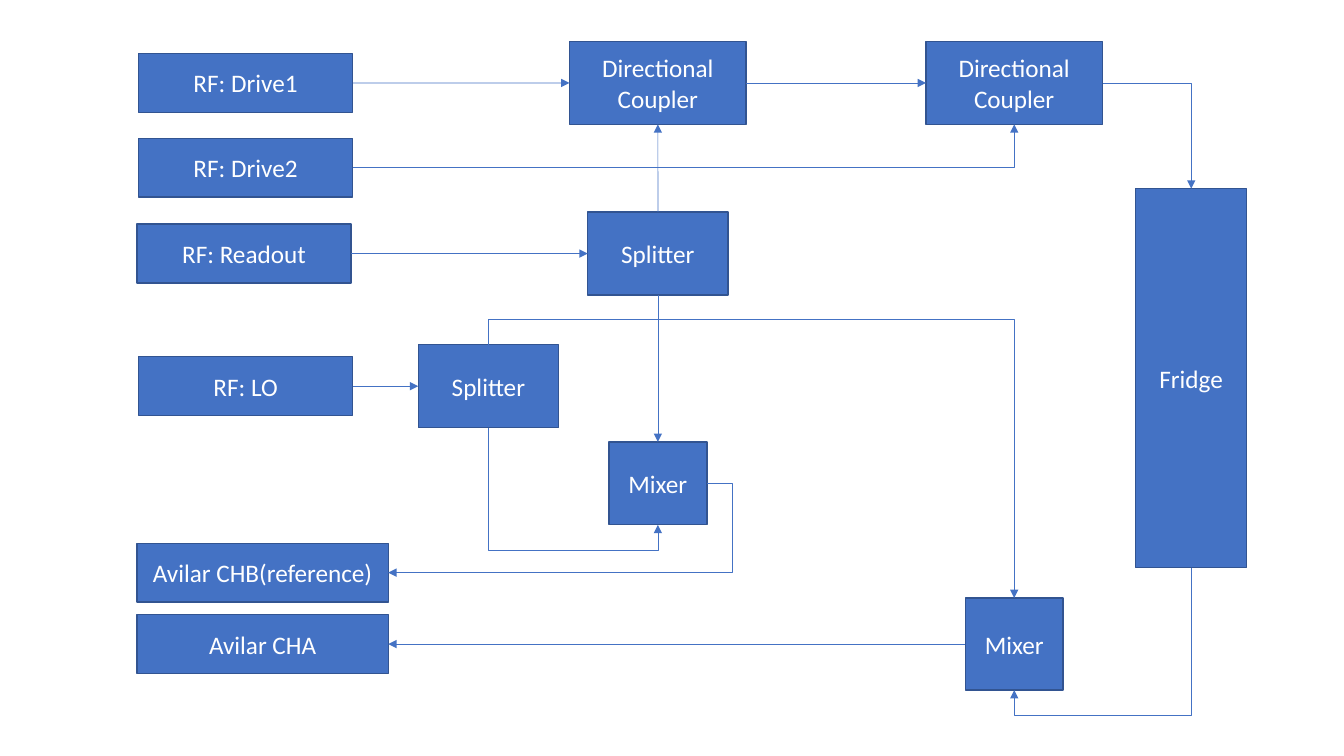
from lxml import etree
from pptx import Presentation
from pptx.dml.color import RGBColor
from pptx.enum import shapes, text
from pptx.oxml import ns
from pptx.util import Cm, Pt

BLUE = RGBColor(0x44, 0x72, 0xC4)
EDGE = RGBColor(0x32, 0x54, 0x91)
WHITE = RGBColor(0xFF, 0xFF, 0xFF)
TOP, LEFT, BOTTOM, RIGHT = range(4)

SOURCE = (5.4, 1.48)
CHANNEL = (6.33, 1.48)
COUPLER = (4.45, 2.09)
SPLITTER = (3.54, 2.09)

SOURCE_X, CHANNEL_X, LO_X = 6.19, 6.62, 12.31
REFERENCE_X, SIGNAL_X, FRIDGE_X = 16.58, 25.56, 30.02
DRIVE_Y, READOUT_Y, LO_Y, CHANNEL_Y = 2.09, 6.39, 9.73, 16.23

BLOCKS = {
    "drive1": ("RF: Drive1", SOURCE_X, DRIVE_Y, SOURCE),
    "drive2": ("RF: Drive2", SOURCE_X, 4.23, SOURCE),
    "readout": ("RF: Readout", 6.15, READOUT_Y, SOURCE),
    "lo": ("RF: LO", SOURCE_X, LO_Y, SOURCE),
    "channel_b": ("Avilar CHB(reference)", CHANNEL_X, 14.43, CHANNEL),
    "channel_a": ("Avilar CHA", CHANNEL_X, CHANNEL_Y, CHANNEL),
    "coupler1": ("Directional Coupler", REFERENCE_X, DRIVE_Y, COUPLER),
    "coupler2": ("Directional Coupler", SIGNAL_X, DRIVE_Y, COUPLER),
    "readout_splitter": ("Splitter", REFERENCE_X, READOUT_Y, SPLITTER),
    "lo_splitter": ("Splitter", LO_X, LO_Y, SPLITTER),
    "reference_mixer": ("Mixer", REFERENCE_X, 12.18, (2.47, 2.09)),
    "signal_mixer": ("Mixer", SIGNAL_X, CHANNEL_Y, (2.47, 2.32)),
    "fridge": ("Fridge", FRIDGE_X, 9.53, (2.8, 9.55)),
}

STRAIGHT_LINKS = [
    ("drive1", RIGHT, "coupler1", LEFT),
    ("coupler1", RIGHT, "coupler2", LEFT),
    ("readout", RIGHT, "readout_splitter", LEFT),
    ("readout_splitter", TOP, "coupler1", BOTTOM),
    ("readout_splitter", BOTTOM, "reference_mixer", TOP),
    ("lo", RIGHT, "lo_splitter", LEFT),
    ("signal_mixer", LEFT, "channel_a", RIGHT),
]

BENT_LINKS = [
    ("drive2", RIGHT, "coupler2", BOTTOM, 0, "V", None),
    ("coupler2", RIGHT, "fridge", TOP, 0, "", None),
    ("lo_splitter", BOTTOM, "reference_mixer", BOTTOM, 270, "H", 126000),
    ("lo_splitter", TOP, "signal_mixer", TOP, 270, "H", -9900),
    ("reference_mixer", RIGHT, "channel_b", RIGHT, 0, "H", -7900),
    ("fridge", BOTTOM, "signal_mixer", BOTTOM, 90, "", 120600),
]

deck = Presentation()
deck.slide_width, deck.slide_height = Cm(33.87), Cm(19.05)
page = deck.slides.add_slide(deck.slide_layouts[6])

boxes = {}
for name, (label, center_x, center_y, (width, height)) in BLOCKS.items():
    box = page.shapes.add_shape(
        shapes.MSO_SHAPE.RECTANGLE, Cm(center_x - width / 2),
        Cm(center_y - height / 2), Cm(width), Cm(height))
    box.shadow.inherit = False
    box.fill.solid()
    box.fill.fore_color.rgb = BLUE
    box.line.color.rgb = EDGE
    box.line.width = Pt(1)
    frame = box.text_frame
    frame.word_wrap = True
    frame.vertical_anchor = text.MSO_ANCHOR.MIDDLE
    para = frame.paragraphs[0]
    para.alignment = text.PP_ALIGN.CENTER
    span = para.add_run()
    span.text = label
    for key, value in {"name": "Calibri", "size": Pt(18)}.items():
        setattr(span.font, key, value)
    span.font.color.rgb = WHITE
    boxes[name] = box


def link(kind, start, start_side, end, end_side):
    arrow = page.shapes.add_connector(kind, 0, 0, 0, 0)
    arrow.begin_connect(boxes[start], start_side)
    arrow.end_connect(boxes[end], end_side)
    arrow.line.color.rgb = BLUE
    arrow.line.width = Pt(0.5)
    properties = arrow._element.spPr
    etree.SubElement(properties.find(ns.qn("a:ln")), ns.qn("a:tailEnd"), type="triangle")
    etree.SubElement(properties, ns.qn("a:effectLst"))
    return arrow


for ends in STRAIGHT_LINKS:
    link(shapes.MSO_CONNECTOR.STRAIGHT, *ends)

for *ends, turn, flip, bend in BENT_LINKS:
    arrow = link(shapes.MSO_CONNECTOR.ELBOW, *ends)
    if turn:
        width, height = arrow.width, arrow.height
        arrow.left += (width - height) // 2
        arrow.top += (height - width) // 2
        arrow.width, arrow.height = height, width
    frame = arrow._element.spPr.find(ns.qn("a:xfrm"))
    frame.set("rot", str(turn * 60000))
    for axis in "HV":
        frame.set("flip" + axis, str(int(axis == flip)))
    geometry = arrow._element.spPr.find(ns.qn("a:prstGeom"))
    if bend is None:
        geometry.set("prst", "bentConnector2")
    else:
        guides = geometry.find(ns.qn("a:avLst"))
        etree.SubElement(guides, ns.qn("a:gd"), name="adj1", fmla=f"val {bend}")

deck.save("out.pptx")
